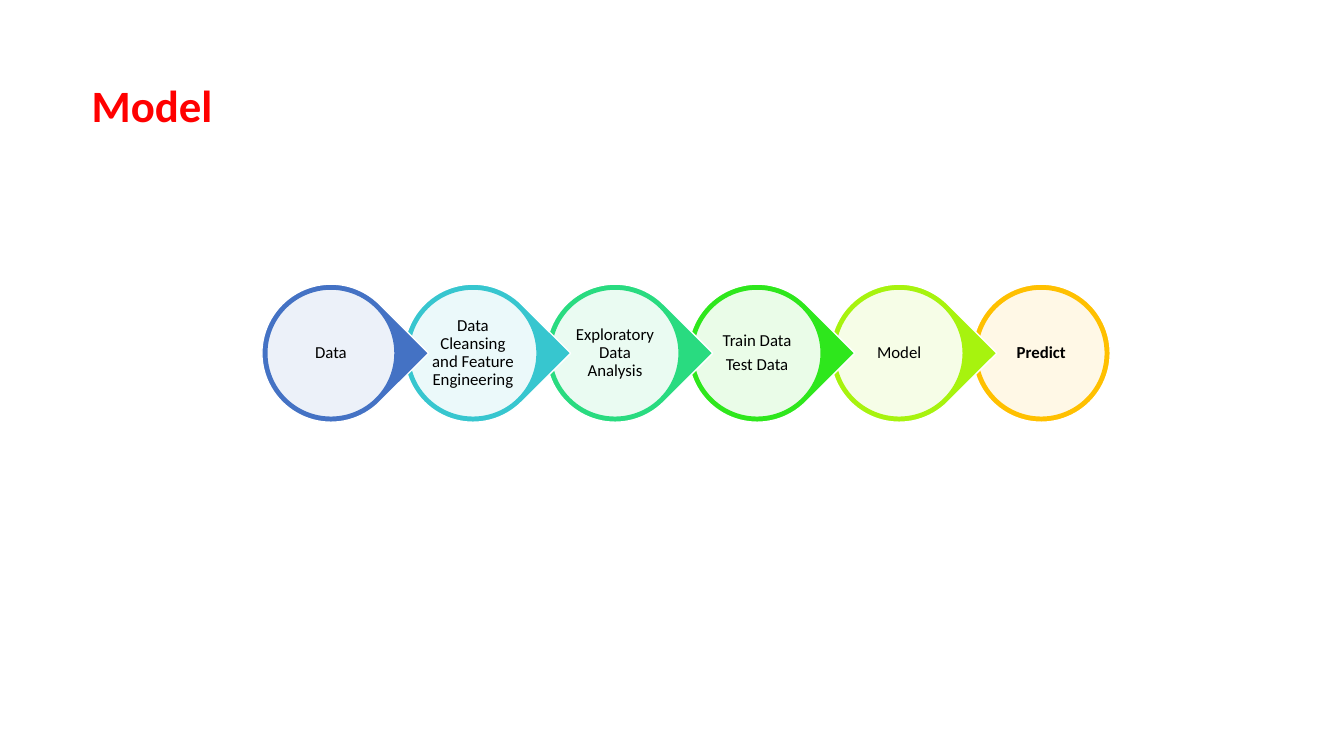
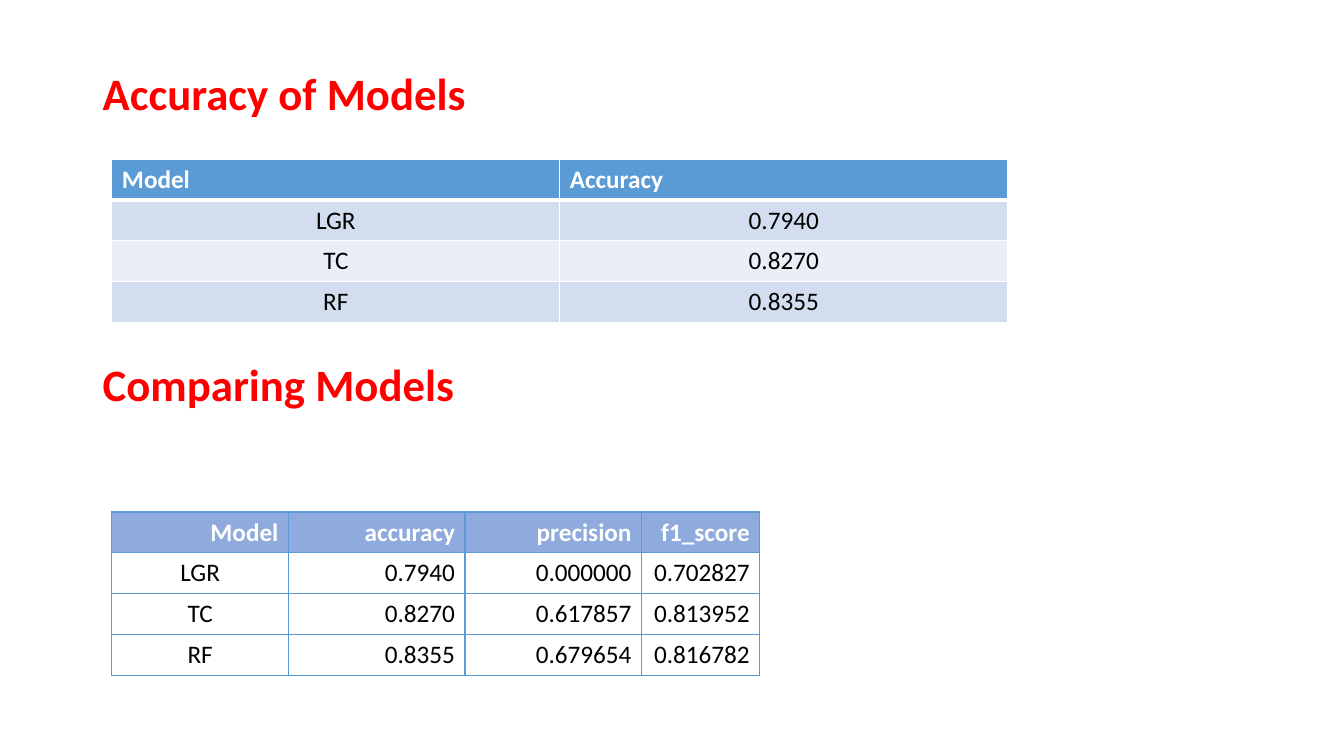
"""Build two slides on a model: its steps as a chain of drops, and its scores as tables."""
from dataclasses import dataclass
from typing import Any

from lxml.etree import SubElement as add_node
from pptx import Presentation as Deck
from pptx.dml.color import RGBColor as Color
from pptx.enum.shapes import MSO_SHAPE as Shape
from pptx.enum.text import MSO_ANCHOR as Anchor, PP_ALIGN as Align
from pptx.oxml.ns import qn
from pptx.util import Cm, Pt

HUES = {
    "title": "FF0000", "text": "000000", "white": "FFFFFF",
    "blue": "4472C4", "teal": "37C6CF", "mint": "29DB80",
    "green": "2EE71C", "lime": "A7F30E", "gold": "FFC000",
    "head": "5B9BD5", "dark": "D2DEEF", "light": "EAEFF7", "soft": "8FAADC",
}
FONT = "Calibri"
STEP, MID_X, MID_Y = 3.58, 8.34, 8.9
OUTER, INNER, LABEL = 3.48, 3.23, 2.31
ROW = 1.03


@dataclass
class Title:
    text: str
    left: float
    top: float


@dataclass
class Stage:
    text: str
    hue: str
    last: bool = False


@dataclass
class Grid:
    left: float
    top: float
    cols: list[float]
    rows: list[list[str]]
    fills: list[str | None]
    edge: str
    heads: Any
    sides: list[Any]
    rule: float = 1


TITLE = Title("Model", 2.06, 0.89)
STAGES = [
    Stage("Data", "blue"),
    Stage("Data Cleansing and Feature Engineering", "teal"),
    Stage("Exploratory Data Analysis", "mint"),
    Stage("Train Data\nTest Data", "green"),
    Stage("Model", "lime"),
    Stage("Predict", "gold", True),
]
HEADS = [Title("Accuracy of Models", 2.34, 0.58), Title("Comparing Models", 2.34, 7.9)]
GRIDS = [
    Grid(2.82, 4.01, [11.29] * 2,
         [["Model", "Accuracy"], ["LGR", "0.7940"], ["TC", "0.8270"], ["RF", "0.8355"]],
         ["head", "dark", "light", "dark"], "white", Align.LEFT, [Align.CENTER] * 2, 3),
    Grid(2.82, 12.9, [4.45, 4.45, 4.45, 2.98],
         [["Model", "accuracy", "precision", "f1_score"],
          ["LGR", "0.7940", "0.000000", "0.702827"],
          ["TC", "0.8270", "0.617857", "0.813952"],
          ["RF", "0.8355", "0.679654", "0.816782"]],
         ["soft", None, None, None], "head", Align.RIGHT, [Align.CENTER] + [Align.RIGHT] * 3),
]


def tint(name: str) -> Color:
    return Color.from_string(HUES[name])


def style(frame: Any, size: float, hue: str, bold: bool, side: Any,
          line: float = 1, after: float = 0) -> None:
    for para in frame.paragraphs:
        para.alignment, para.line_spacing, para.space_after = side, line, Pt(after)
        for run in para.runs:
            font = run.font
            font.name, font.size, font.bold = FONT, Pt(size), bold
            font.color.rgb = tint(hue)


def add_text(slide: Any, text: str, left: float, top: float, wide: float, high: float) -> Any:
    frame = slide.shapes.add_textbox(Cm(left), Cm(top), Cm(wide), Cm(high)).text_frame
    frame.word_wrap = True
    frame.vertical_anchor = Anchor.MIDDLE
    frame.text = text
    return frame


def add_title(slide: Any, title: Title) -> None:
    frame = add_text(slide, title.text, title.left, title.top, 29.21, 3.68)
    style(frame, 32, "title", True, Align.LEFT, 0.9)


def add_disc(slide: Any, kind: Any, mid: float, size: float, fill: str, edge: str) -> Any:
    disc = slide.shapes.add_shape(kind, Cm(mid - size / 2), Cm(MID_Y - size / 2),
                                  Cm(size), Cm(size))
    disc.shadow.inherit = False
    disc.fill.solid()
    disc.fill.fore_color.rgb = tint(fill)
    disc.line.color.rgb = tint(edge)
    disc.line.width = Pt(1)
    return disc


def add_stage(slide: Any, stage: Stage, mid: float) -> None:
    kind = Shape.OVAL if stage.last else Shape.TEAR
    drop = add_disc(slide, kind, mid, OUTER, stage.hue, "white")
    drop.rotation = 0 if stage.last else 45
    face = add_disc(slide, Shape.OVAL, mid, INNER, "white", stage.hue)
    shade = face._element.spPr.find(qn("a:solidFill"))[0]
    add_node(shade, qn("a:alpha"), val="90000")
    frame = add_text(slide, stage.text, mid - LABEL / 2, MID_Y - LABEL / 2, LABEL, LABEL)
    frame.margin_left = frame.margin_right = frame.margin_top = frame.margin_bottom = Cm(0.05)
    style(frame, 12, "text", stage.last, Align.CENTER, 0.9, 4.2)


def set_edge(cell: Any, side: str, hue: str, width: float) -> None:
    line = add_node(cell._tc.get_or_add_tcPr(), qn(f"a:ln{side}"), w=str(Pt(width)))
    fill = add_node(line, qn("a:solidFill"))
    add_node(fill, qn("a:srgbClr"), val=HUES[hue])


def add_grid(slide: Any, grid: Grid) -> None:
    count = len(grid.rows)
    table = slide.shapes.add_table(count, len(grid.cols), Cm(grid.left), Cm(grid.top),
                                   Cm(sum(grid.cols)), Cm(ROW * count)).table
    table.horz_banding = False
    for col, wide in zip(table.columns, grid.cols):
        col.width = Cm(wide)
    for r, (row, fill) in enumerate(zip(grid.rows, grid.fills)):
        table.rows[r].height = Cm(ROW)
        head = r == 0
        for c, text in enumerate(row):
            cell = table.cell(r, c)
            cell.text_frame.text = text
            cell.vertical_anchor = Anchor.MIDDLE
            style(cell.text_frame, 18, "white" if head else "text", head,
                  grid.heads if head else grid.sides[c])
            for side in "LRTB":
                thick = (head and side == "B") or (r == 1 and side == "T")
                set_edge(cell, side, grid.edge, grid.rule if thick else 1)
            if fill:
                cell.fill.solid()
                cell.fill.fore_color.rgb = tint(fill)
            else:
                cell.fill.background()


def main() -> None:
    deck = Deck()
    deck.slide_width, deck.slide_height = Cm(33.87), Cm(19.05)
    blank = deck.slide_layouts[6]
    flow, scores = (deck.slides.add_slide(blank) for _ in range(2))
    add_title(flow, TITLE)
    for i, stage in reversed(list(enumerate(STAGES))):
        add_stage(flow, stage, MID_X + i * STEP)
    for title, grid in zip(HEADS, GRIDS):
        add_title(scores, title)
        add_grid(scores, grid)
    deck.save("out.pptx")


main()
